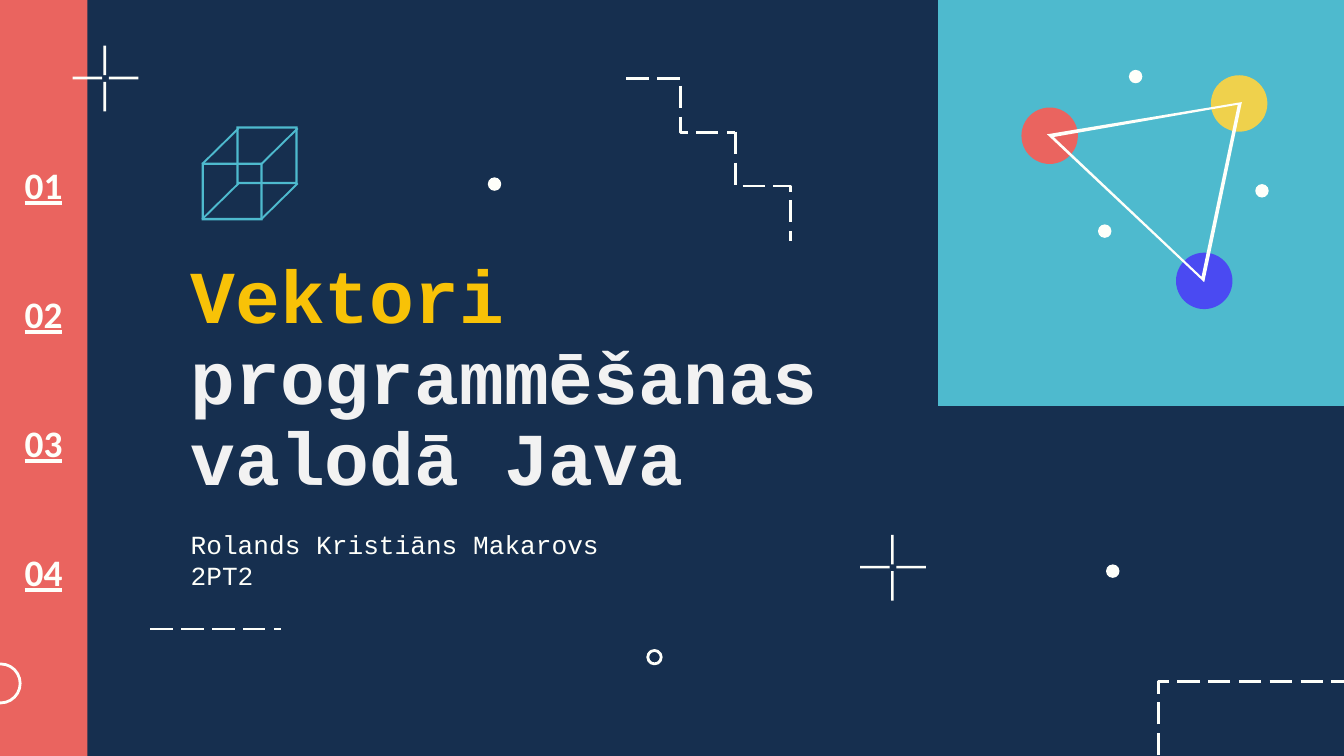
from lxml import etree
from pptx import Presentation
from pptx.dml.color import RGBColor
from pptx.enum import dml, shapes, text
from pptx.oxml import ns
from pptx.util import Inches, Pt

NAVY = RGBColor(0x16, 0x2F, 0x4F)
CORAL = RGBColor(0xEA, 0x64, 0x5F)
TEAL = RGBColor(0x4E, 0xBA, 0xCE)
WHITE = RGBColor(0xFE, 0xFF, 0xFA)
GOLD = RGBColor(0xF8, 0xC2, 0x07)
LIGHT_GREY = RGBColor(0xF2, 0xF2, 0xF2)
YELLOW = RGBColor(0xEF, 0xD1, 0x4C)
VIOLET = RGBColor(0x4A, 0x4A, 0xF2)
RECTANGLE = shapes.MSO_SHAPE.RECTANGLE
OVAL = shapes.MSO_SHAPE.OVAL

presentation = Presentation()
presentation.slide_width = Inches(10)
presentation.slide_height = Inches(5.625)
slide = presentation.slides.add_slide(presentation.slide_layouts[6])
slide.background.fill.solid()
slide.background.fill.fore_color.rgb = NAVY


def add_text(paragraphs, left, top, width, height, size, font, bold=False, underline=False,
             align=text.PP_ALIGN.LEFT, anchor=text.MSO_ANCHOR.TOP, spacing=1.0):
    """Add a text box; each paragraph is a list of (wording, colour) runs."""
    box = slide.shapes.add_textbox(Inches(left), Inches(top), Inches(width), Inches(height))
    frame = box.text_frame
    frame.word_wrap = True
    frame.vertical_anchor = anchor
    frame.margin_left = frame.margin_right = frame.margin_top = frame.margin_bottom = Inches(0.1)
    for index, runs in enumerate(paragraphs):
        paragraph = frame.add_paragraph() if index else frame.paragraphs[0]
        paragraph.alignment = align
        paragraph.line_spacing = spacing
        for wording, colour in runs:
            run = paragraph.add_run()
            run.text = wording
            run.font.size = Pt(size)
            run.font.name = font
            run.font.bold = bold
            run.font.underline = underline
            run.font.color.rgb = colour


def add_figure(kind, fill=None, line=None):
    """Add a figure: (preset, left, top, width, height) or a list of closed contours."""
    if isinstance(kind, tuple):
        shape = slide.shapes.add_shape(kind[0], *[Inches(length) for length in kind[1:]])
    else:
        contours = [[(Inches(x), Inches(y)) for x, y in contour] for contour in kind]
        builder = slide.shapes.build_freeform(*contours[0][0], scale=1.0)
        for index, contour in enumerate(contours):
            if index:
                builder.move_to(*contour[0])
            builder.add_line_segments(contour[1:], close=True)
        shape = builder.convert_to_shape()
    shape.shadow.inherit = False
    if fill is None:
        shape.fill.background()
    else:
        shape.fill.solid()
        shape.fill.fore_color.rgb = fill
    if line is None:
        shape.line.fill.background()
    else:
        shape.line.color.rgb = line
        shape.line.width = Pt(1.5)


# Colour panels
add_figure((RECTANGLE, 0, 0, 0.65, 5.625), CORAL)
add_figure((RECTANGLE, 6.98, 0, 3.02, 3.02), TEAL)

# Crosses, each made of four thin bars around an open centre
for x, y in [(0.78, 0.58), (6.64, 4.22)]:
    for start in (-0.24, 0.03):
        add_figure((RECTANGLE, x - 0.01, y + start, 0.02, 0.22), WHITE)
        add_figure((RECTANGLE, x + start, y - 0.01, 0.22, 0.02), WHITE)

# Rings and dots
add_figure((OVAL, -0.14, 4.94, 0.29, 0.29), line=WHITE)
add_figure((OVAL, 4.82, 4.84, 0.1, 0.1), line=WHITE)
for left, top in [(3.63, 1.32), (8.23, 4.2)]:
    add_figure((OVAL, left, top, 0.1, 0.1), WHITE)

# Dashed lines: type, start, end, rotation, bend position
STRAIGHT, ELBOW = shapes.MSO_CONNECTOR.STRAIGHT, shapes.MSO_CONNECTOR.ELBOW
for kind, x1, y1, x2, y2, rotation, bend in [
    (ELBOW, 8.62, 5.62, 10, 5.07, 0, 0),
    (ELBOW, 4.66, 0.585, 5.47, 0.985, 0, 0.5),
    (ELBOW, 6.08, 1.18, 5.27, 1.59, 270, 0.5),
    (STRAIGHT, 1.12, 4.68, 2.09, 4.68, 0, None),
]:
    connector = slide.shapes.add_connector(kind, Inches(x1), Inches(y1), Inches(x2), Inches(y2))
    connector.line.color.rgb = WHITE
    connector.line.width = Pt(1.5)
    connector.line.dash_style = dml.MSO_LINE.LONG_DASH
    properties = connector._element.spPr
    etree.SubElement(properties, ns.qn("a:effectLst"))
    if rotation:
        properties.find(ns.qn("a:xfrm")).set("rot", str(rotation * 60000))
    if bend is not None:
        geometry = properties.find(ns.qn("a:prstGeom"))
        guides = geometry.find(ns.qn("a:avLst"))
        if guides is None:
            guides = etree.SubElement(geometry, ns.qn("a:avLst"))
        etree.SubElement(guides, ns.qn("a:gd"), name="adj1", fmla=f"val {int(bend * 100000)}")

# Wire cube: two square frames joined by four slanted edges
for left, top in [(1.5, 1.21), (1.76, 0.94)]:
    right, bottom, edge = left + 0.455, top + 0.43, 0.017
    add_figure([
        [(left, top), (left, bottom), (right, bottom), (right, top)],
        [(left + edge, top + edge), (right - edge, top + edge),
         (right - edge, bottom - edge), (left + edge, bottom - edge)],
    ], TEAL)
for x in (1.5, 1.94):
    for y in (0.95, 1.36):
        add_figure([[(x + 0.27, y), (x, y + 0.265), (x + 0.01, y + 0.275), (x + 0.28, y + 0.01)]], TEAL)

# Triangle with coloured corners and small dots
for x, y, colour in [(9.22, 0.77, YELLOW), (7.81, 1.01, CORAL), (8.96, 2.09, VIOLET)]:
    add_figure((OVAL, x - 0.21, y - 0.21, 0.42, 0.42), colour)
add_figure([
    [(9.24, 0.76), (7.79, 1), (8.96, 2.1)],
    [(9.21, 0.78), (8.94, 2.06), (7.84, 1.02)],
], WHITE)
for left, top in [(8.4, 0.52), (8.17, 1.67), (9.34, 1.37)]:
    add_figure((OVAL, left, top, 0.1, 0.1), WHITE)

# Title and author
add_text([[("Vektori ", GOLD), ("programmēšanas valodā Java", LIGHT_GREY)]], 1.32, 1.95, 5.99, 1.88,
         size=40, font="Courier New", bold=True, anchor=text.MSO_ANCHOR.BOTTOM, spacing=0.9)
add_text([[("Rolands Kristiāns Makarovs", WHITE)], [("2PT2", WHITE)]], 1.32, 3.83, 4.11, 0.65,
         size=14, font="Courier New")

# Section numbers
for index in range(4):
    add_text([[(f"{index + 1:02d}", WHITE)]], 0, 1.1 + 0.96 * index, 0.65, 0.54,
             size=20, font="Calibri", bold=True, underline=True,
             align=text.PP_ALIGN.CENTER, anchor=text.MSO_ANCHOR.MIDDLE)

presentation.save("out.pptx")
